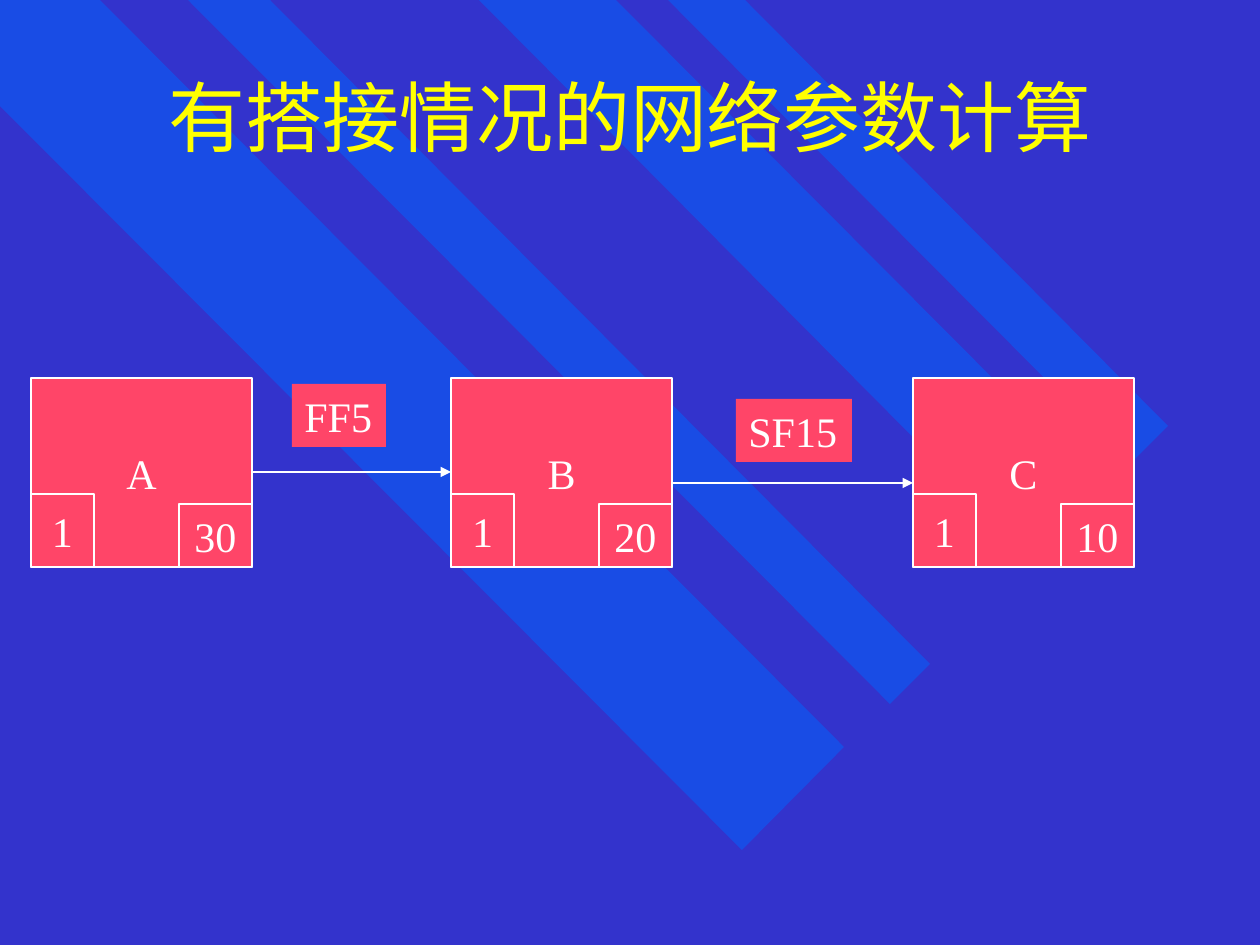
from dataclasses import dataclass

import pptx
import pptx.dml.color
import pptx.enum.shapes
import pptx.enum.text
import pptx.oxml
import pptx.oxml.ns
import pptx.util

SCALE = 914400 / 126
FONT = "Times New Roman"
COLORS = {
    "background": "3333CC",
    "band": "0066FF",
    "title": "FFFF00",
    "box": "FF4568",
    "white": "FFFFFF",
}
ALIGN = pptx.enum.text.PP_ALIGN
ANCHOR = pptx.enum.text.MSO_ANCHOR

TASK_TOP, TASK_WIDTH, TASK_HEIGHT = 378, 221, 189
CORNER_SHORT, CORNER_LONG = 63, 73


@dataclass
class Task:
    name: str
    left: int
    start: str
    duration: str


@dataclass
class Link:
    text: str
    origin: Task
    target: Task
    line_top: int
    label_left: int
    label_top: int
    label_width: int


TASKS = [
    Task("A", 31, "1", "30"),
    Task("B", 451, "1", "20"),
    Task("C", 913, "1", "10"),
]
LINKS = [
    Link("FF5", TASKS[0], TASKS[1], 472, 292, 384, 94),
    Link("SF15", TASKS[1], TASKS[2], 483, 736, 399, 116),
]
BANDS = [
    [(844, 747), (100, 0), (0, 0), (0, 106), (742, 850)],
    [(270, 0), (930, 664), (890, 704), (188, 0)],
    [(616, 0), (1104, 490), (1034, 559), (479, 0)],
    [(668, 0), (1130, 464), (1168, 426), (745, 0)],
]


def px(length: int) -> pptx.util.Emu:
    return pptx.util.Emu(round(length * SCALE))


def rgb(name: str) -> pptx.dml.color.RGBColor:
    return pptx.dml.color.RGBColor.from_string(COLORS[name])


def set_text(frame, text: str, size: int, color: str, align, anchor) -> None:
    frame.vertical_anchor = anchor
    frame.text = text
    paragraph = frame.paragraphs[0]
    paragraph.alignment = align
    paragraph.font.name = FONT
    paragraph.font.size = pptx.util.Pt(size)
    paragraph.font.color.rgb = rgb(color)


def add_band(page, points: list[tuple[int, int]]) -> None:
    builder = page.shapes.build_freeform(*points[0], scale=SCALE)
    builder.add_line_segments(points[1:], close=True)
    band = builder.convert_to_shape()
    band.shadow.inherit = False
    band.line.fill.background()
    band.fill.solid()
    band.fill.fore_color.rgb = rgb("band")
    color = band.element.spPr.find(".//" + pptx.oxml.ns.qn("a:srgbClr"))
    color.append(pptx.oxml.parse_xml(
        f'<a:alpha {pptx.oxml.ns.nsdecls("a")} val="50000"/>'))


def add_box(page, text: str, left: int, top: int, width: int, height: int):
    box = page.shapes.add_shape(
        pptx.enum.shapes.MSO_SHAPE.RECTANGLE,
        px(left), px(top), px(width), px(height))
    box.shadow.inherit = False
    box.fill.solid()
    box.fill.fore_color.rgb = rgb("box")
    box.line.color.rgb = rgb("white")
    box.line.width = pptx.util.Pt(1)
    box.text_frame.word_wrap = False
    set_text(box.text_frame, text, 24, "white", ALIGN.CENTER, ANCHOR.MIDDLE)
    return box


def add_task(page, task: Task) -> None:
    right, bottom = task.left + TASK_WIDTH, TASK_TOP + TASK_HEIGHT
    add_box(page, task.name, task.left, TASK_TOP, TASK_WIDTH, TASK_HEIGHT)
    add_box(page, task.start, task.left, bottom - CORNER_LONG,
            CORNER_SHORT, CORNER_LONG)
    add_box(page, task.duration, right - CORNER_LONG, bottom - CORNER_SHORT,
            CORNER_LONG, CORNER_SHORT)


def add_arrow(page, link: Link) -> None:
    arrow = page.shapes.add_connector(
        pptx.enum.shapes.MSO_CONNECTOR.STRAIGHT,
        px(link.origin.left + TASK_WIDTH), px(link.line_top),
        px(link.target.left), px(link.line_top))
    arrow.line.color.rgb = rgb("white")
    arrow.line.width = pptx.util.Pt(1)
    namespace = pptx.oxml.ns.nsdecls("a")
    outline = arrow.element.spPr.find(pptx.oxml.ns.qn("a:ln"))
    outline.append(
        pptx.oxml.parse_xml(f'<a:tailEnd {namespace} type="triangle"/>'))
    arrow.element.spPr.append(
        pptx.oxml.parse_xml(f"<a:effectLst {namespace}/>"))


def add_label(page, link: Link) -> None:
    label = add_box(page, link.text, link.label_left, link.label_top,
                    link.label_width, 63)
    label.line.fill.background()
    label.text_frame.vertical_anchor = ANCHOR.TOP
    label.text_frame.auto_size = pptx.enum.text.MSO_AUTO_SIZE.SHAPE_TO_FIT_TEXT
    label.text_frame.paragraphs[0].alignment = ALIGN.LEFT


def place_title(page, text: str) -> None:
    title = page.shapes.title
    title.left, title.top = px(95), px(32)
    title.width, title.height = px(1071), px(168)
    set_text(title.text_frame, text, 44, "title", ALIGN.CENTER, ANCHOR.MIDDLE)
    title.element.getparent().append(title.element)


def main() -> None:
    deck = pptx.Presentation()
    deck.slide_width, deck.slide_height = px(1260), px(945)
    page = deck.slides.add_slide(deck.slide_layouts[5])
    page.background.fill.solid()
    page.background.fill.fore_color.rgb = rgb("background")
    for points in BANDS:
        add_band(page, points)
    place_title(page, "有搭接情况的网络参数计算")
    for task in TASKS:
        add_task(page, task)
    for link in LINKS:
        add_arrow(page, link)
    for link in LINKS:
        add_label(page, link)
    deck.save("out.pptx")


if __name__ == "__main__":
    main()
